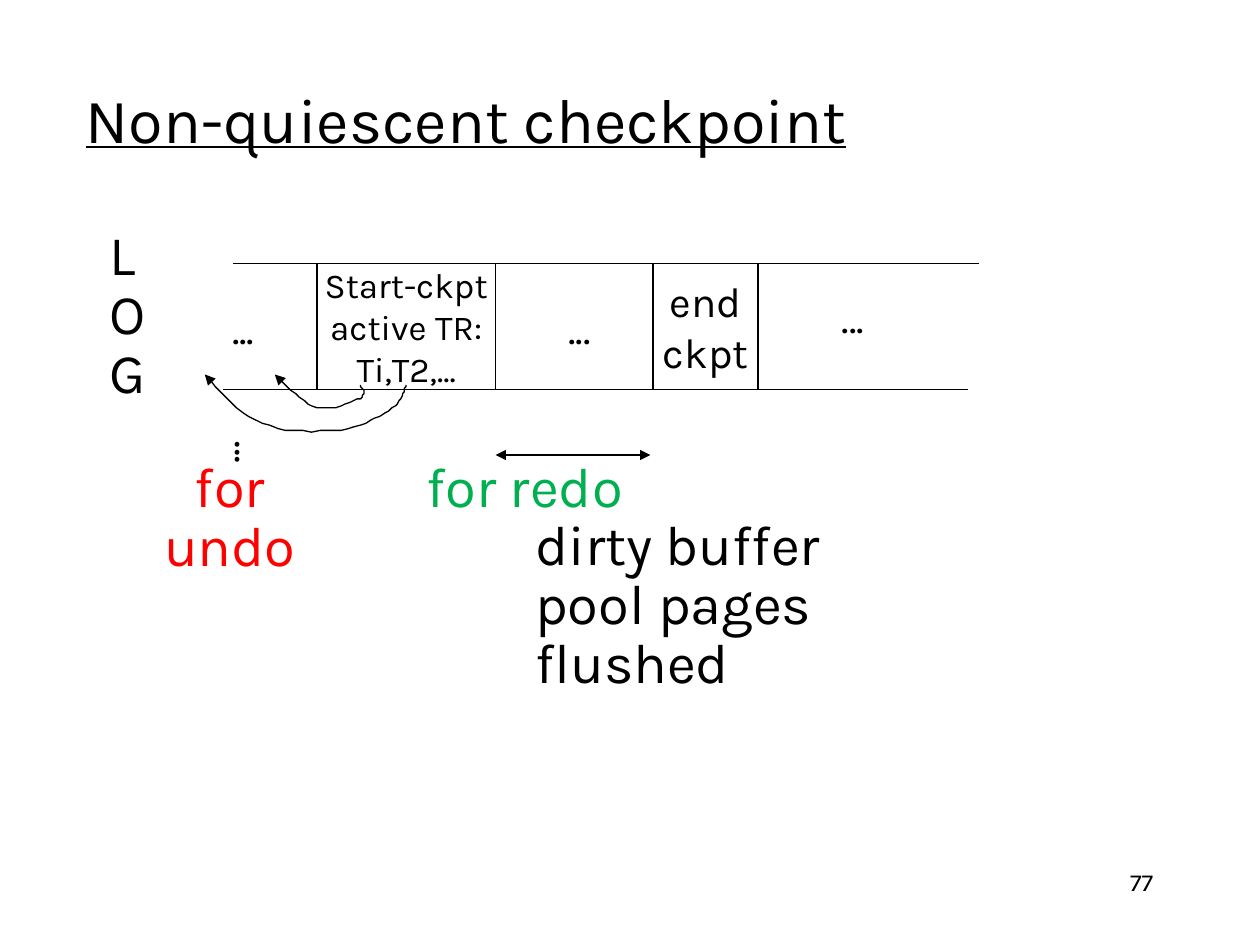
from pptx import Presentation
from pptx.dml.color import RGBColor as RGB
from pptx.enum.shapes import MSO_CONNECTOR as Conn, MSO_SHAPE as Kind
from pptx.enum.text import MSO_ANCHOR as Anchor, PP_ALIGN as Align
from pptx.oxml.ns import qn
from pptx.util import Pt
from lxml.etree import SubElement as Sub

HUES = {"ink": "000000", "paper": "FFFFFF", "undo": "FF0000", "redo": "00B050"}
FONT = "Karla"
TITLE = "Non-quiescent checkpoint"

TOP, HIGH = 150.5, 72
BASE = TOP + HIGH
EDGES = [181.2, 283.2, 373.2, 433.2]
CELLS = [(["Start-ckpt", "active TR:", "Ti,T2,..."], 20), ([], 20), (["end", "ckpt"], 24)]
RAILS = [(433.2, TOP), (427, BASE), (133.2, TOP), (127.2, BASE)]
RAIL = 126

DOTS = [(469.4, 163, 0), (313.2, 169.5, 0), (121, 169.5, 0), (109.5, 240.5, 270)]
SIDE = 36

ROW, FIRST = 33.14, 132.5
NOTES = [
    (["L", "O", "G"], 0, 55.4, 60, Align.LEFT, "ink"),
    (["for", "undo"], 4, 81.4, 100, Align.CENTER, "undo"),
    (["for redo"], 4, 236.8, 150, Align.LEFT, "redo"),
    (["dirty buffer", "pool pages", "flushed"], 5, 298.8, 200, Align.LEFT, "ink"),
]

CURVES = [
    [(206, 220.3), (207.4, 222.5), (209.5, 225.4), (206, 227.5), (201.6, 229.7),
     (188.6, 235.4), (180.7, 232.6), (172.8, 230.4), (164.9, 221.8), (157, 213.8)],
    [(231.8, 219.6), (231.1, 223.9), (229.7, 229), (223.9, 233.3), (217.4, 237.6),
     (207.4, 244.1), (195.1, 245.5), (182.9, 247), (163.4, 247.7), (149.8, 241.9),
     (136.8, 236.9), (126.7, 225.4), (116.6, 213.8)],
]
STEPS = 10


def put(item, fmt):
    for key, val in fmt.items():
        setattr(item, key, val)


def write(shape, lines, size, hue="ink", frame=None, para=None, font=None):
    text = shape.text_frame
    put(text, {"word_wrap": False, "vertical_anchor": Anchor.MIDDLE, **(frame or {})})
    for num, line in enumerate(lines):
        par = text.add_paragraph() if num else text.paragraphs[0]
        put(par, {"alignment": Align.CENTER, **(para or {})})
        run = par.add_run()
        run.text = line
        put(run.font, {"name": FONT, "size": Pt(size), **(font or {})})
        run.font.color.rgb = RGB.from_string(HUES[hue])


def ink(shape, ends=()):
    shape.line.color.rgb = RGB.from_string(HUES["ink"])
    shape.line.width = Pt(0.75)
    for end in ends:
        Sub(shape.line._get_or_add_ln(), qn(f"a:{end}End"), type="triangle")


def box(left, top, wide, high):
    return slide.shapes.add_textbox(Pt(left), Pt(top), Pt(wide), Pt(high))


def rule(left, top, wide, ends=()):
    line = slide.shapes.add_connector(Conn.STRAIGHT, Pt(left), Pt(top), Pt(left + wide), Pt(top))
    ink(line, ends)
    Sub(line._element.spPr, qn("a:effectLst"))


def bend(knots, t):
    u = 1 - t
    parts = (u ** 3, 3 * u * u * t, 3 * u * t * t, t ** 3)
    return tuple(sum(p * k[axis] for p, k in zip(parts, knots)) for axis in (0, 1))


def curve(knots):
    spots = [bend(knots[i:i + 4], n / STEPS)
             for i in range(0, len(knots) - 1, 3) for n in range(1, STEPS + 1)]
    pen = slide.shapes.build_freeform(*knots[0], scale=Pt(1))
    pen.add_line_segments(spots, close=False)
    shape = pen.convert_to_shape()
    shape.shadow.inherit = False
    shape.fill.background()
    ink(shape, ["tail"])


deck = Presentation()
put(deck, {"slide_width": Pt(720), "slide_height": Pt(540)})
slide = deck.slides.add_slide(deck.slide_layouts[5])

title = slide.shapes.title
put(title, {"left": Pt(41.8), "top": Pt(31), "width": Pt(612), "height": Pt(72.7)})
write(title, [TITLE], 36, frame={"word_wrap": True}, para={"alignment": Align.LEFT},
      font={"underline": True})

for (lines, size), left, right in zip(CELLS, EDGES, EDGES[1:]):
    cell = slide.shapes.add_shape(Kind.RECTANGLE, Pt(left), Pt(TOP), Pt(right - left), Pt(HIGH))
    cell.shadow.inherit = False
    cell.fill.solid()
    cell.fill.fore_color.rgb = RGB.from_string(HUES["paper"])
    ink(cell)
    write(cell, lines, size)

for left, top in RAILS:
    rule(left, top, RAIL)
rule(EDGES[1], 260, 88.5, ["head", "tail"])

for left, top, turn in DOTS:
    dots = box(left, top, SIDE, SIDE)
    dots.rotation = turn
    write(dots, ["..."], 24)

for lines, row, left, wide, side, hue in NOTES:
    note = box(left, FIRST + row * ROW, wide, len(lines) * ROW + 8)
    write(note, lines, 32, hue, {"vertical_anchor": Anchor.TOP, "word_wrap": True},
          {"alignment": side, "line_spacing": 0.7, "space_before": Pt(6.9)})

for knots in CURVES:
    curve(knots)

write(box(516.2, 491.8, 149.8, 36), ["77"], 14, frame={"vertical_anchor": Anchor.TOP, "word_wrap": True},
      para={"alignment": Align.RIGHT})

deck.save("out.pptx")
